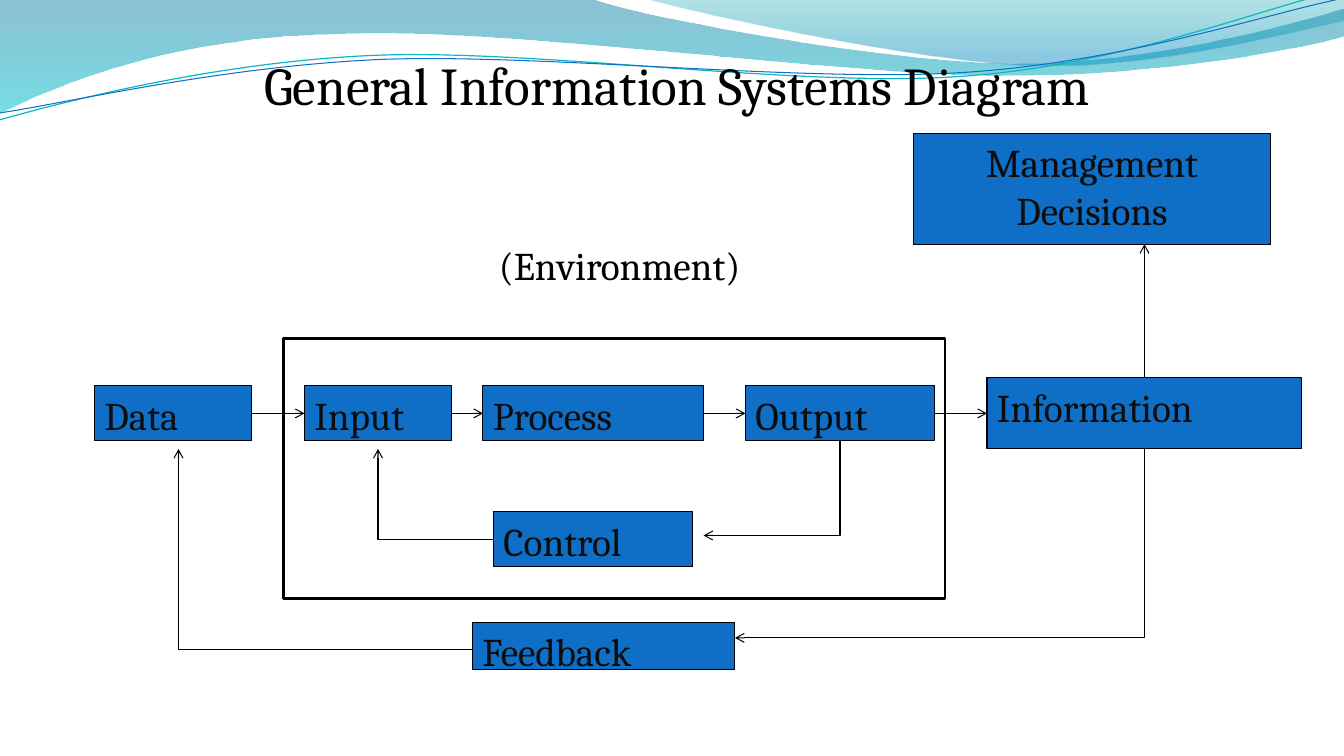
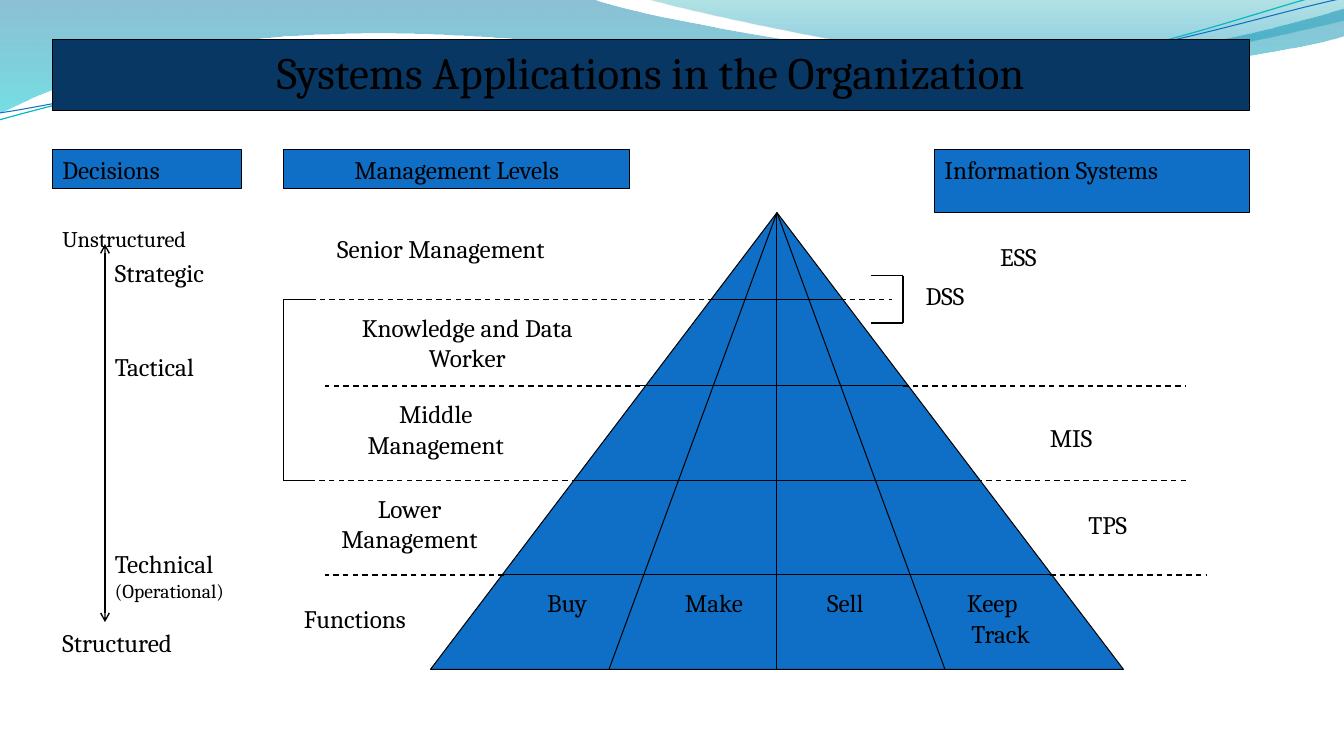
import pptx
import pptx.util
import pptx.dml.color
import pptx.enum.dml
import pptx.enum.shapes
import pptx.enum.text
import pptx.oxml.ns
import lxml.etree

WIDE, HIGH = pptx.util.Inches(13.333), pptx.util.Inches(7.5)
COLS, ROWS = 128, 96
FONT = "Cambria"
HUES = {
    "black": "000000", "ink": "0D0D0D", "blue": "0F6FC6", "navy": "083763",
    "teal": "0AB8BF", "sea": "0074A1", "aqua": "00C6CF",
    "jade": "00A1A9", "sky": "008BBF",
}
FRAME = {"word_wrap": True, "vertical_anchor": pptx.enum.text.MSO_ANCHOR.TOP}
ALIGN = {"l": pptx.enum.text.PP_ALIGN.LEFT, "c": pptx.enum.text.PP_ALIGN.CENTER}

# Curves in inches: a start, then steps of one point (line) or three (curve).
BANDS = [
    ((0, 0), [
        [(5.87, -.01)],
        [(6.34, .17), (8.85, .63), (10.11, .63)],
        [(11.38, .63), (12.78, .26), (13.33, .09)],
        [(13.35, .36)],
        [(13.11, .44), (11.6, .76), (9.94, .75)],
        [(8.29, .75), (5.09, .28), (3.43, .34)],
        [(1.72, .36), (.61, .83), (-.01, 1.13)],
        [(0, 0)],
    ], [(0, "sea", 45), (1, "aqua", 55)]),
    ((6.39, -.01), [
        [(6.79, .11), (9.09, .62), (10.25, .65)],
        [(11.41, .69), (12.82, .32), (13.33, .21)],
        [(13.33, 0)],
        [(6.39, -.01)],
    ], [(0, "jade", 30), (.8, "sky", 45)]),
]
WAVES = [
    ((-.01, 1.19), [
        [(.64, 1.01), (2.11, .62), (3.69, .55)],
        [(5.27, .48), (7.9, .87), (9.5, .76)],
        [(11.1, .66), (12.52, .08), (13.31, -.1)],
    ], "teal", .85),
    ((0, 1.12), [
        [(.63, 1.03), (2.18, .66), (3.78, .59)],
        [(5.37, .53), (7.96, .82), (9.55, .72)],
        [(11.15, .62), (12.55, .14), (13.34, -.02)],
    ], "blue", .75),
]


def tint(name):
    """Give the named colour."""
    return pptx.dml.color.RGBColor.from_string(HUES[name])


def spot(col, row):
    """Turn a grid column and row into lengths."""
    return round(WIDE * col / COLS), round(HIGH * row / ROWS)


def paint(shape, fill=None, line="black", width=.75):
    """Set fill and outline, and drop the shadow."""
    shape.shadow.inherit = False
    if fill:
        shape.fill.solid()
        shape.fill.fore_color.rgb = tint(fill)
    else:
        shape.fill.background()
    if line:
        shape.line.color.rgb = tint(line)
        shape.line.width = pptx.util.Pt(width)
    else:
        shape.line.fill.background()


def write(shape, text, size, hue="black", align="l"):
    """Fill a shape with text, one paragraph a line."""
    frame = shape.text_frame
    for key, val in FRAME.items():
        setattr(frame, key, val)
    style = {"size": pptx.util.Pt(size), "name": FONT}
    for rank, words in enumerate(text.split("\n")):
        para = frame.add_paragraph() if rank else frame.paragraphs[0]
        para.alignment = ALIGN[align]
        run = para.add_run()
        run.text = words
        for key, val in style.items():
            setattr(run.font, key, val)
        run.font.color.rgb = tint(hue)


def box(slide, cell, text="", size=18, hue="black", align="l",
        fill="blue", width=.75, kind="RECTANGLE"):
    """Add a preset shape on the grid, with text if given."""
    kind = getattr(pptx.enum.shapes.MSO_SHAPE, kind)
    shape = slide.shapes.add_shape(kind, *spot(*cell[:2]), *spot(*cell[2:]))
    paint(shape, fill, width=width)
    if text:
        write(shape, text, size, hue, align)
    return shape


def label(slide, cell, text, size=18, align="c"):
    """Add plain text on the grid."""
    shape = slide.shapes.add_textbox(*spot(*cell[:2]), *spot(*cell[2:]))
    write(shape, text, size, align=align)
    return shape


def rule(slide, start, end, width=.75, dash=False, tips=()):
    """Add a line between grid points; tips lists the arrow ends."""
    kind = pptx.enum.shapes.MSO_CONNECTOR.STRAIGHT
    link = slide.shapes.add_connector(kind, *spot(*start), *spot(*end))
    link.line.color.rgb = tint("black")
    link.line.width = pptx.util.Pt(width)
    if dash:
        link.line.dash_style = pptx.enum.dml.MSO_LINE.DASH
    qn = pptx.oxml.ns.qn
    prop = link._element.spPr
    for tip in tips:
        lxml.etree.SubElement(prop.find(qn("a:ln")), qn("a:" + tip), type="arrow")
    lxml.etree.SubElement(prop, qn("a:effectLst"))
    return link


def bend(slide, start, end, turn):
    """Add an arrow with one corner, turned by 90 or 180 degrees."""
    link = rule(slide, start, end, tips=["tailEnd"])
    (left, top), (right, base) = spot(*start), spot(*end)
    wide, high = abs(right - left), abs(base - top)
    if turn == 90:
        wide, high = high, wide
    place = {"left": (left + right - wide) // 2, "top": (top + base - high) // 2,
             "width": wide, "height": high}
    for key, val in place.items():
        setattr(link, key, val)
    prop = link._element.spPr
    form = prop.find(pptx.oxml.ns.qn("a:xfrm"))
    for flip in ("flipH", "flipV"):
        form.attrib.pop(flip, None)
    form.set("rot", str(turn * 60000))
    prop.find(pptx.oxml.ns.qn("a:prstGeom")).set("prst", "bentConnector2")


def curve(slide, start, steps, close):
    """Add an outline whose steps of three points are cubic curves."""
    dots = [tuple(pptx.util.Inches(v) for v in dot)
            for dot in [start, *sum(steps, [])]]
    pen = slide.shapes.build_freeform(*dots[0])
    pen.add_line_segments(dots[1:], close=close)
    shape = pen.convert_to_shape()
    qn = pptx.oxml.ns.qn
    legs = iter(list(shape._element.spPr.iter(qn("a:lnTo"))))
    for step in steps:
        first, *rest = [next(legs) for _ in step]
        if rest:
            first.tag = qn("a:cubicBezTo")
        for leg in rest:
            first.append(leg[0])
            leg.getparent().remove(leg)
    return shape


def fade(band, stops):
    """Fill a band with a downward gradient of see-through colours."""
    paint(band, line=None)
    band.fill.gradient()
    band.fill.gradient_angle = 270
    qn = pptx.oxml.ns.qn
    nodes = band._element.spPr.iter(qn("a:gs"))
    for stop, node, (place, hue, alpha) in zip(band.fill.gradient_stops, nodes, stops):
        stop.position = place
        stop.color.rgb = tint(hue)
        lxml.etree.SubElement(node[0], qn("a:alpha"), val=str(alpha * 1000))


def crest(deck, slide):
    """Draw the waves and hand them to the master that all slides share."""
    shapes = []
    for start, steps, stops in BANDS:
        shapes.append(curve(slide, start, steps, True))
        fade(shapes[-1], stops)
    for start, steps, hue, width in WAVES:
        shapes.append(curve(slide, start, steps, False))
        paint(shapes[-1], line=hue, width=width)
    tree = deck.slide_master._element.cSld.spTree
    for rank, shape in enumerate(shapes, 101):
        next(shape._element.iter(pptx.oxml.ns.qn("p:cNvPr"))).set("id", str(rank))
        tree.append(shape._element)


def flow(slide):
    """Build the diagram of data flow."""
    steps = [
        box(slide, cell, text, 28, "ink")
        for text, cell in [
            ("Data", (9, 49, 15, 7)), ("Input", (29, 49, 14, 7)),
            ("Process", (46, 49, 21, 7)), ("Output", (71, 49, 18, 7)),
            ("Information", (94, 48, 30, 9)),
        ]
    ]
    box(slide, (47, 65, 19, 7), "Control", 28, "ink")
    box(slide, (45, 79, 25, 6), "Feedback", 28, "ink")
    box(slide, (87, 17, 34, 14), "Management Decisions", 28, "ink", "c")
    for left, right in zip(steps, steps[1:]):
        link = rule(slide, (0, 0), (1, 1), tips=["tailEnd"])
        link.begin_connect(left, 3)
        link.end_connect(right, 1)
    box(slide, (27, 43, 63, 33), fill=None, width=1.75)
    for start, end, turn in [
        ((80, 56), (67, 68), 90), ((47, 68.5), (36, 57), 180),
        ((45, 82.5), (17, 57), 180), ((109, 57), (70, 81), 90),
    ]:
        bend(slide, start, end, turn)
    rule(slide, (109, 48), (109, 31), tips=["tailEnd"])
    label(slide, (28, 30, 62, 7), "(Environment)", 28)
    label(slide, (10, 6, 109, 9.5), "General Information Systems Diagram", 38)


def tower(slide):
    """Build the pyramid of levels and systems."""
    peak, base = (74, 27), 85
    box(slide, (41, 27, 66, 58), kind="ISOSCELES_TRIANGLE")
    for col in (58, 74, 90):
        rule(slide, peak, (col, base))
    for row, outer, left, right, far in [
        (38, 30, 68, 80, 85), (49, 31, 61, 86, 113),
        (61, 30, 55, 93, 113), (73, 31, 48, 100, 115),
    ]:
        rule(slide, (left, row), (right, row))
        rule(slide, (left, row), (outer, row), 1, True)
        rule(slide, (right, row), (far, row), 1, True)
    for spine, tip, top, low in [(86, 83, 35, 41), (27, 30, 38, 61)]:
        rule(slide, (spine, top), (spine, low), 1)
        for row in (top, low):
            rule(slide, (spine, row), (tip, row), 1)
    rule(slide, (10, 31), (10, 79), 1, tips=["headEnd", "tailEnd"])

    box(slide, (5, 19, 18, 5), "Decisions")
    box(slide, (27, 19, 33, 5), "Management Levels", align="c")
    box(slide, (89, 19, 30, 8), "Information Systems")
    for text, cell in [
        ("Senior Management", (30, 29, 24, 8)),
        ("Knowledge and Data Worker", (30, 39, 29, 9)),
        ("Middle\nManagement", (30, 50, 23, 10)),
        ("Lower\nManagement", (28, 62, 22, 9)),
        ("Buy", (48, 74, 12, 4)), ("Make", (62, 74, 12, 4)),
        ("Sell", (74, 74, 13, 4)),
        ("ESS", (92, 30, 10, 4)), ("DSS", (85, 35, 10, 4)),
        ("MIS", (97, 53, 10, 4)), ("TPS", (101, 64, 9, 4)),
    ]:
        label(slide, cell, text)
    keep = label(slide, (87, 74, 15, 8), "Keep\nTrack")
    track = keep.text_frame.paragraphs[1]
    track._p.get_or_add_pPr().set("marL", str(pptx.util.Pt(12)))
    for text, cell in [
        ("Strategic", (10, 32, 16, 4)), ("Tactical", (10, 44, 16, 4)),
        ("Structured", (5, 79, 19, 4)), ("Functions", (28, 76, 17, 4)),
    ]:
        label(slide, cell, text, align="l")
    label(slide, (5, 28, 20, 3), "Unstructured", 16, "l")
    skill = label(slide, (10, 69, 18, 8), "Technical\n(Operational)", align="l")
    skill.text_frame.paragraphs[1].runs[0].font.size = pptx.util.Pt(14)
    box(slide, (5, 5, 114, 9), "Systems Applications in the Organization",
        32, align="c", fill="navy")


def main():
    """Build and save the deck."""
    deck = pptx.Presentation()
    deck.slide_width, deck.slide_height = WIDE, HIGH
    first, second = [deck.slides.add_slide(deck.slide_layouts[6]) for _ in range(2)]
    crest(deck, first)
    flow(first)
    tower(second)
    deck.save("out.pptx")


main()
